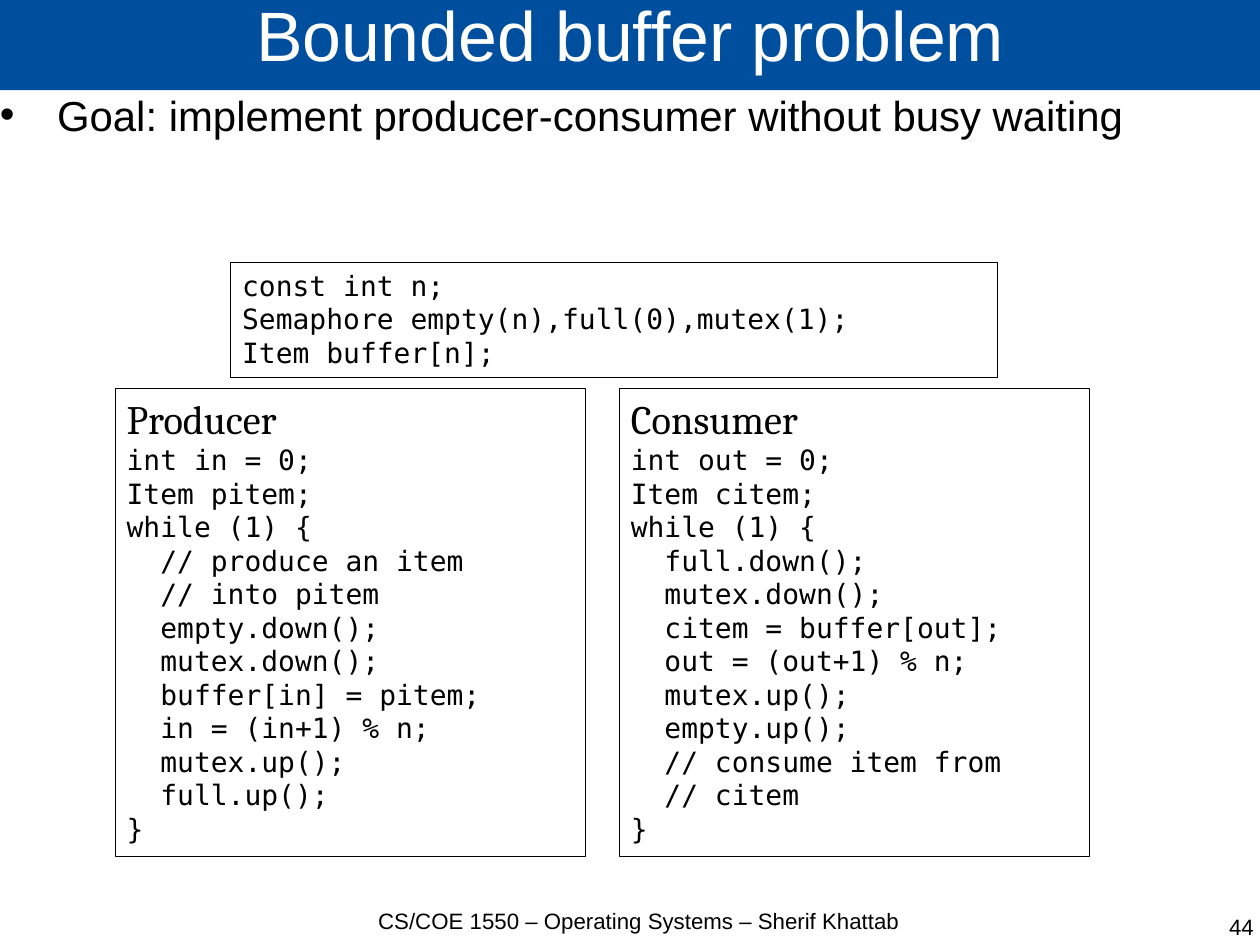
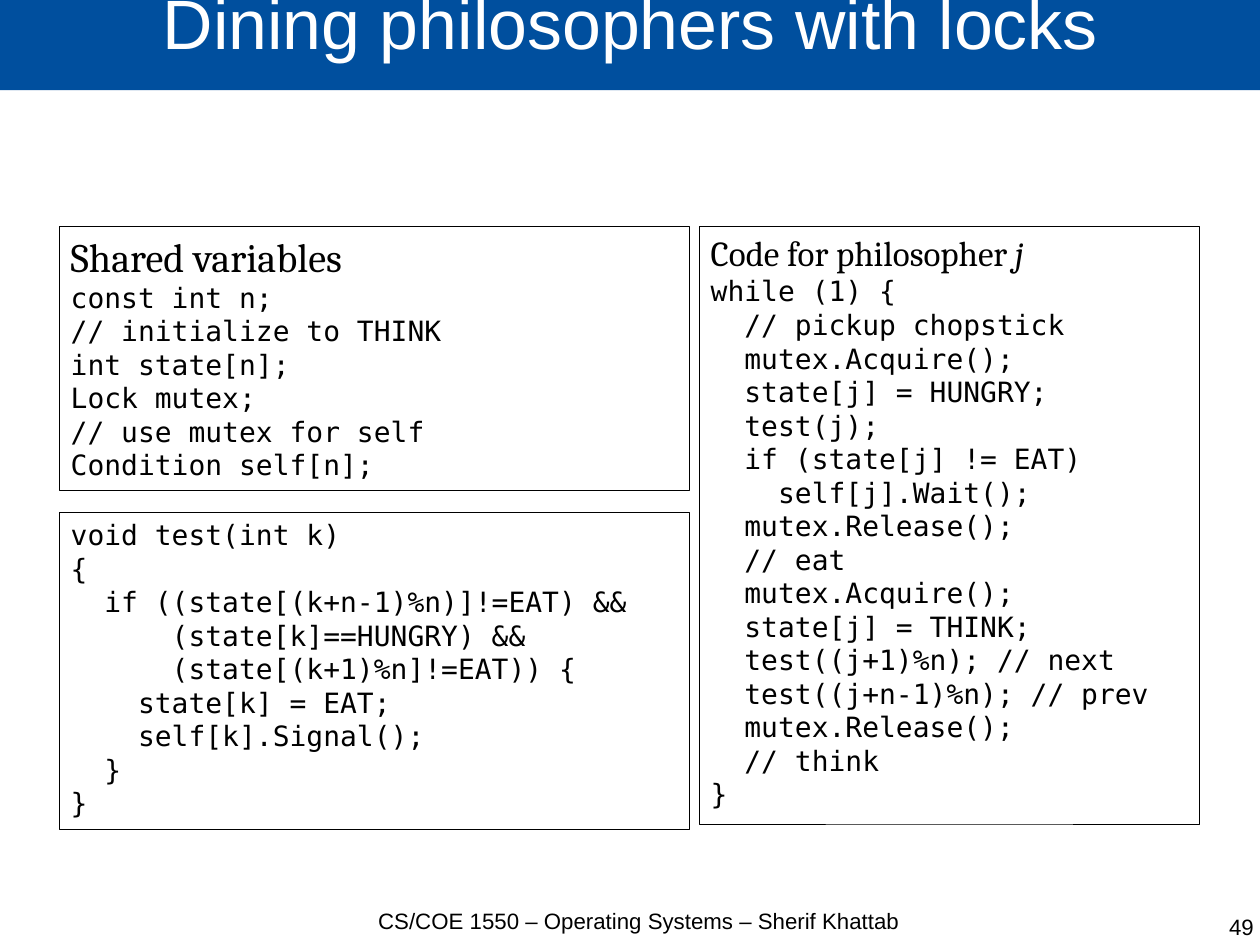
from pptx import Presentation
from pptx.dml.color import RGBColor
from pptx.enum.shapes import MSO_SHAPE as Shape
from pptx.enum.text import MSO_ANCHOR as Anchor, MSO_AUTO_SIZE as AutoSize, PP_ALIGN as Align
from pptx.util import Inches, Pt
from lxml import etree

# Shared colours and text styles
BLUE = RGBColor(0x00, 0x4F, 0x9E)
WHITE = RGBColor(0xFF, 0xFF, 0xFF)
BLACK = RGBColor(0x00, 0x00, 0x00)

TITLE = {"name": "Arial", "size": Pt(44)}
BODY = {"name": "Arial", "size": Pt(26.4)}
FOOTER = {"name": "Arial", "size": Pt(14)}
HEADING = {"name": "Cambria", "size": Pt(25.4)}
SMALL_HEADING = {"name": "Cambria", "size": Pt(22.1)}
VARIABLE = {**SMALL_HEADING, "italic": True}
CODE = {"name": "DejaVu Sans Mono", "size": Pt(17.6)}

FOOTER_TEXT = "CS/COE 1550 – Operating Systems – Sherif Khattab"
DRAWING_NS = "{http://schemas.openxmlformats.org/drawingml/2006/main}"
CM_PER_INCH = 2.54

# Code listings
SHARED_BUFFER = """const int n;
Semaphore empty(n),full(0),mutex(1);
Item buffer[n];"""

PRODUCER = """int in = 0;
Item pitem;
while (1) {
  // produce an item
  // into pitem
  empty.down();
  mutex.down();
  buffer[in] = pitem;
  in = (in+1) % n;
  mutex.up();
  full.up();
}"""

CONSUMER = """int out = 0;
Item citem;
while (1) {
  full.down();
  mutex.down();
  citem = buffer[out];
  out = (out+1) % n;
  mutex.up();
  empty.up();
  // consume item from
  // citem
}"""

SHARED_STATE = """const int n;
// initialize to THINK
int state[n];
Lock mutex;
// use mutex for self
Condition self[n];"""

PHILOSOPHER = """while (1) {
  // pickup chopstick
  mutex.Acquire();
  state[j] = HUNGRY;
  test(j);
  if (state[j] != EAT)
    self[j].Wait();
  mutex.Release();
  // eat
  mutex.Acquire();
  state[j] = THINK;
  test((j+1)%n); // next
  test((j+n-1)%n); // prev
  mutex.Release();
  // think
}"""

TEST_FUNCTION = """void test(int k)
{
  if ((state[(k+n-1)%n)]!=EAT) &&
      (state[k]==HUNGRY) &&
      (state[(k+1)%n]!=EAT)) {
    state[k] = EAT;
    self[k].Signal();
  }
}"""

# Slide contents: each panel is (left, top, width, height), heading runs, code
SLIDES = [
    {
        "title": "Bounded buffer problem",
        "title_anchor": Anchor.MIDDLE,
        "title_insets": (0, 0),
        "goal": "Goal: implement producer-consumer without busy waiting",
        "number": "44",
        "panels": [
            ((1.01, 3.4, 4.11, 4.09), [("Producer", HEADING)], PRODUCER),
            ((2.02, 2.3, 6.71, 1), [], SHARED_BUFFER),
            ((5.42, 3.4, 4.11, 4.09), [("Consumer", HEADING)], CONSUMER),
        ],
    },
    {
        "title": "Dining philosophers with locks",
        "title_anchor": Anchor.TOP,
        "title_insets": (0.1, 0.05),
        "goal": None,
        "number": "49",
        "panels": [
            ((0.52, 1.98, 5.51, 2.31), [("Shared variables", HEADING)], SHARED_STATE),
            ((6.12, 1.98, 4.37, 5.23),
             [("Code for philosopher ", SMALL_HEADING), ("j", VARIABLE)], PHILOSOPHER),
            ((0.52, 4.48, 5.51, 2.78), [], TEST_FUNCTION),
        ],
    },
]


def write(shape, paragraphs, color=BLACK, align=Align.LEFT, anchor=Anchor.TOP, insets=(0, 0)):
    """Fill a shape with paragraphs, each a list of (text, style) runs."""
    frame = shape.text_frame
    across, down = map(Inches, insets)
    layout = {"word_wrap": True, "vertical_anchor": anchor,
              "margin_left": across, "margin_right": across,
              "margin_top": down, "margin_bottom": down}
    for key, value in layout.items():
        setattr(frame, key, value)
    for index, runs in enumerate(paragraphs):
        paragraph = frame.add_paragraph() if index else frame.paragraphs[0]
        paragraph.alignment = align
        for text, style in runs:
            run = paragraph.add_run()
            run.text = text
            run.font.color.rgb = color
            for key, value in style.items():
                setattr(run.font, key, value)
    return frame


def add_box(slide, place):
    """Add a rectangle without shadow, fill or outline."""
    box = slide.shapes.add_shape(Shape.RECTANGLE, *map(Inches, place))
    box.shadow.inherit = False
    box.fill.background()
    box.line.fill.background()
    return box


# The page measures 28 by 21 cm
deck = Presentation()
deck.slide_width, deck.slide_height = Inches(28 / CM_PER_INCH), Inches(21 / CM_PER_INCH)

for content in SLIDES:
    slide = deck.slides.add_slide(deck.slide_layouts[6])

    # Title band
    band = add_box(slide, (0, -0.02, 11.04, 0.81))
    band.fill.solid()
    band.fill.fore_color.rgb = BLUE
    heading = write(band, [[(content["title"], TITLE)]], WHITE, Align.CENTER,
                    content["title_anchor"], content["title_insets"])
    heading.paragraphs[0].line_spacing = 0.69

    # Goal with a hanging bullet
    if content["goal"]:
        goal_box = slide.shapes.add_textbox(*map(Inches, (0, 0.78, 11.04, 7.18)))
        goal = write(goal_box, [[(content["goal"], BODY)]]).paragraphs[0]
        goal.space_after = Pt(14.2)
        properties = goal._p.get_or_add_pPr()
        properties.set("marL", str(Inches(0.5)))
        properties.set("indent", str(-Inches(0.5)))
        etree.SubElement(properties, DRAWING_NS + "buFont", typeface="Arial")
        etree.SubElement(properties, DRAWING_NS + "buChar", char="•")

    # Footer and slide number
    for place, text, align in [((3.07, 7.94, 5.04, 0.55), FOOTER_TEXT, Align.CENTER),
                               ((8.44, 7.99, 2.53, 0.55), content["number"], Align.RIGHT)]:
        footer = slide.shapes.add_textbox(*map(Inches, place))
        write(footer, [[(text, FOOTER)]], align=align)

    # Outlined code panels
    for place, heading_runs, code in content["panels"]:
        panel = add_box(slide, place)
        panel.line.color.rgb = BLACK
        panel.line.width = Pt(0.5)
        lines = [[(line, CODE)] for line in code.splitlines()]
        listing = write(panel, ([heading_runs] if heading_runs else []) + lines,
                        insets=(0.1, 0.05))
        listing.auto_size = AutoSize.SHAPE_TO_FIT_TEXT

deck.save("out.pptx")
